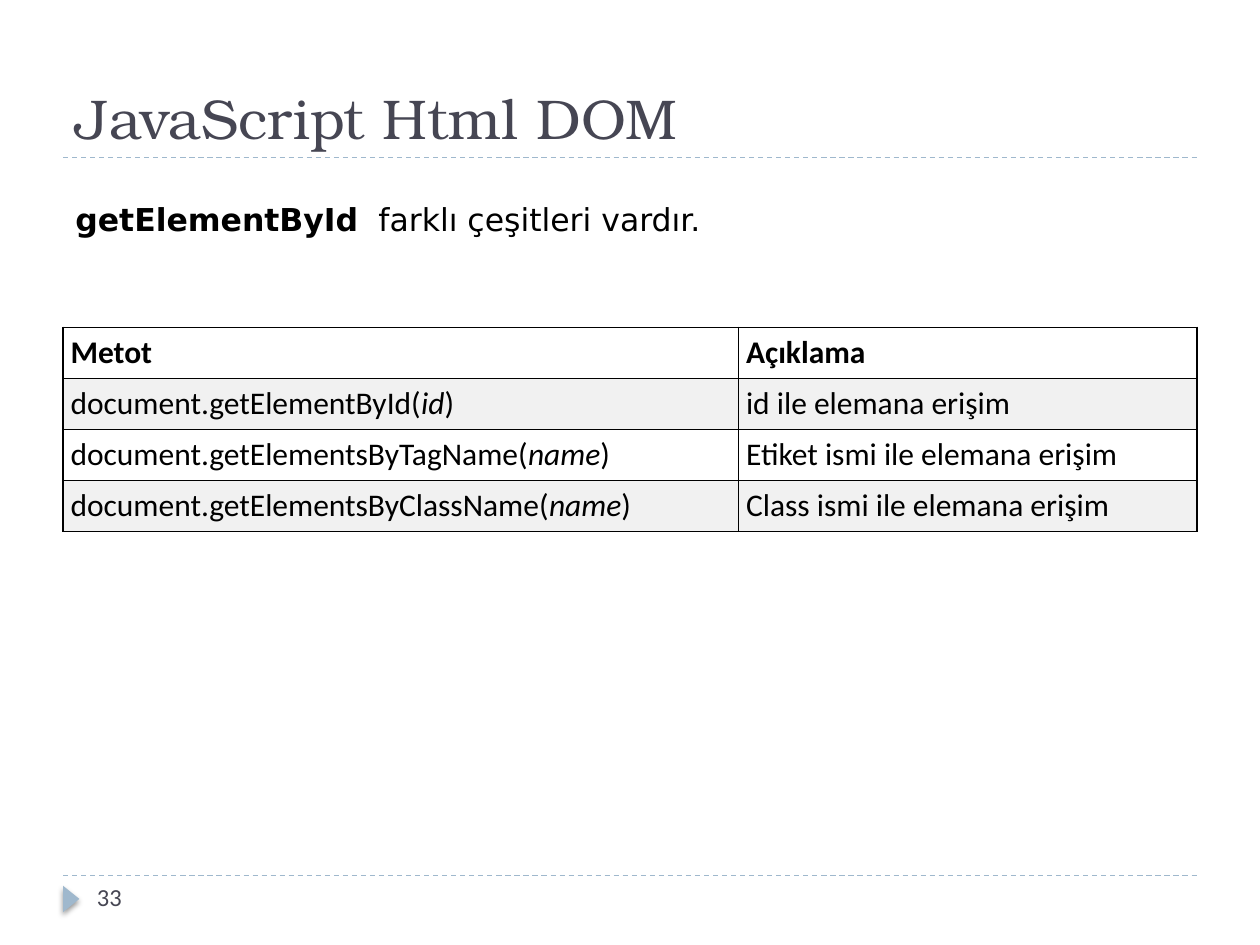
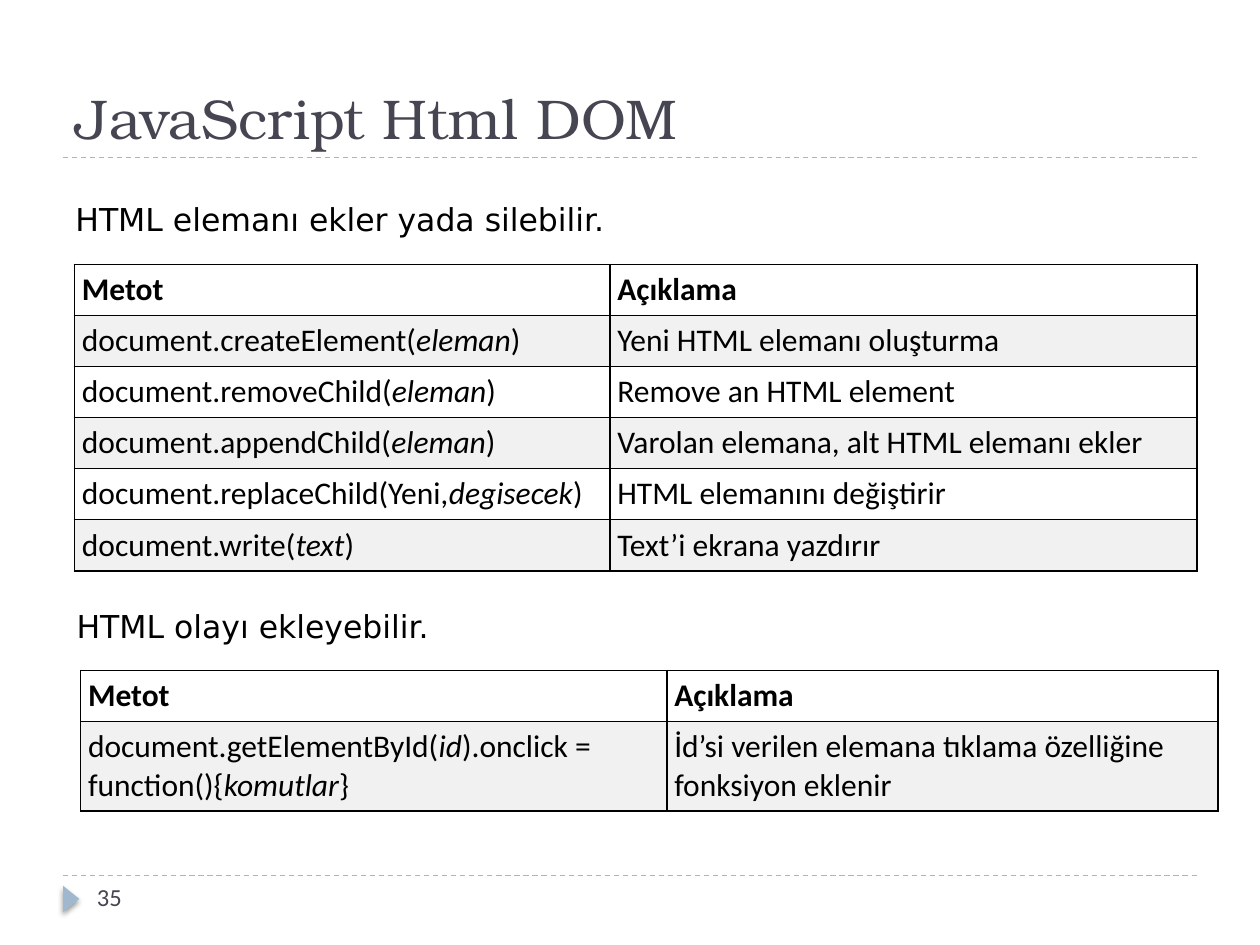
from lxml import etree
from pptx import Presentation
from pptx.dml.color import RGBColor
from pptx.enum.dml import MSO_LINE
from pptx.enum.shapes import MSO_CONNECTOR, MSO_SHAPE
from pptx.enum.text import MSO_ANCHOR, MSO_AUTO_SIZE, PP_ALIGN
from pptx.oxml import parse_xml
from pptx.oxml.ns import nsdecls, qn
from pptx.util import Pt

DASH = MSO_LINE.DASH
STRAIGHT = MSO_CONNECTOR.STRAIGHT
TRIANGLE = MSO_SHAPE.ISOSCELES_TRIANGLE
BOTTOM, TOP = MSO_ANCHOR.BOTTOM, MSO_ANCHOR.TOP
LEFT = PP_ALIGN.LEFT
NO_AUTOFIT = MSO_AUTO_SIZE.NONE
TITLE_ONLY = 5

TITLE_FONT, INTRO_FONT, TABLE_FONT = "TeX Gyre Bonum", "DejaVu Sans", "Calibri"
INK, SLATE, ACCENT, WHITE, BAND = "000000", "464653", "9FB8CD", "FFFFFF", "F1F1F1"

WIDTH, HEIGHT = 720, 540
MARGIN = 36
CONTENT_WIDTH = WIDTH - 2 * MARGIN
TITLE_RULE, FOOTER_RULE = 90, 500.4
ROW_HEIGHT = 28.8
HEADER = ("Metot", "Açıklama")


def color(value):
    return RGBColor.from_string(value)


def write(frame, text, font=TABLE_FONT, size=18, fill=INK, bold=False,
          marked="italic", anchor=TOP, inset=7.2):
    """Fill a text frame; parts between asterisks get the marked format."""
    frame.word_wrap = True
    frame.auto_size = NO_AUTOFIT
    frame.vertical_anchor = anchor
    frame.margin_left = frame.margin_right = Pt(inset)
    frame.margin_top = frame.margin_bottom = Pt(3.6)
    paragraph = frame.paragraphs[0]
    paragraph.alignment = LEFT
    for index, part in enumerate(text.split("*")):
        if not part:
            continue
        run = paragraph.add_run()
        run.text = part
        run.font.name, run.font.size, run.font.bold = font, Pt(size), bold
        run.font.color.rgb = color(fill)
        if index % 2:
            setattr(run.font, marked, True)


def add_label(slide, text, left, top, width, height, **style):
    label = slide.shapes.add_textbox(Pt(left), Pt(top), Pt(width), Pt(height))
    write(label.text_frame, text, **style)


def add_rule(slide, top):
    rule = slide.shapes.add_connector(
        STRAIGHT, Pt(MARGIN), Pt(top), Pt(WIDTH - MARGIN), Pt(top))
    rule.line.color.rgb = color(ACCENT)
    rule.line.width = Pt(0.75)
    rule.line.dash_style = DASH
    etree.SubElement(rule.element.spPr, qn("a:effectLst"))


def add_title(slide, text):
    title = slide.shapes.title
    title.left, title.top = Pt(MARGIN), Pt(12.24)
    title.width, title.height = Pt(CONTENT_WIDTH), Pt(TITLE_RULE - 12.24)
    write(title.text_frame, text, font=TITLE_FONT, size=32, fill=SLATE, anchor=BOTTOM)
    add_rule(slide, TITLE_RULE)


def add_footer(slide, number):
    add_rule(slide, FOOTER_RULE)
    # Page marker with a soft drop shadow
    marker = slide.shapes.add_shape(
        TRIANGLE, Pt(33.12), Pt(FOOTER_RULE + 8.6), Pt(15.12), Pt(9.36))
    marker.rotation = 90
    marker.fill.solid()
    marker.fill.fore_color.rgb = color(ACCENT)
    marker.line.fill.background()
    marker.element.spPr.append(parse_xml(
        f'<a:effectLst {nsdecls("a")}><a:outerShdw blurRad="{Pt(3)}" dist="{Pt(2)}" '
        'dir="5400000" algn="tl" rotWithShape="0"><a:srgbClr val="000000">'
        '<a:alpha val="40000"/></a:srgbClr></a:outerShdw></a:effectLst>'))
    add_label(slide, number, 48.24, FOOTER_RULE, 156, 28.8, size=14, fill=SLATE)


def add_intro(slide, text, top, left=MARGIN):
    add_label(slide, text, left, top, CONTENT_WIDTH, 28.8,
              font=INTRO_FONT, marked="bold")


def set_borders(cell):
    properties = cell._tc.get_or_add_tcPr()
    for position, side in enumerate(("lnL", "lnR", "lnT", "lnB")):
        properties.insert(position, parse_xml(
            f'<a:{side} {nsdecls("a")} w="{Pt(1)}"><a:solidFill>'
            f'<a:srgbClr val="{INK}"/></a:solidFill></a:{side}>'))


def add_methods(slide, methods, left, top, widths, body_height=ROW_HEIGHT):
    rows = [HEADER, *methods]
    height = ROW_HEIGHT + body_height * len(methods)
    table = slide.shapes.add_table(
        len(rows), len(widths), Pt(left), Pt(top), Pt(sum(widths)), Pt(height)).table
    table.first_row = table.horz_banding = False
    for column, width in zip(table.columns, widths):
        column.width = Pt(width)
    for r, texts in enumerate(rows):
        table.rows[r].height = Pt(body_height if r else ROW_HEIGHT)
        for c, text in enumerate(texts):
            cell = table.cell(r, c)
            cell.fill.solid()
            cell.fill.fore_color.rgb = color(BAND if r % 2 else WHITE)
            set_borders(cell)
            write_cell(cell, text, bold=r == 0)


def write_cell(cell, text, bold):
    write(cell.text_frame, text, bold=bold)
    cell.margin_left = cell.margin_right = Pt(4.32)
    cell.margin_top = cell.margin_bottom = Pt(3.6)


def add_dom_slide(deck, number):
    slide = deck.slides.add_slide(deck.slide_layouts[TITLE_ONLY])
    add_title(slide, "JavaScript Html DOM")
    add_footer(slide, number)
    return slide


def build_access_slide(deck):
    slide = add_dom_slide(deck, "33")
    add_intro(slide, "*getElementById*  farklı çeşitleri vardır.", 110.88)
    add_methods(slide, [
        ("document.getElementById(*id*)", "id ile elemana erişim"),
        ("document.getElementsByTagName(*name*)", "Etiket ismi ile elemana erişim"),
        ("document.getElementsByClassName(*name*)", "Class ismi ile elemana erişim"),
    ], MARGIN, 187, (386, 262))


def build_editing_slide(deck):
    slide = add_dom_slide(deck, "35")
    # Adding and removing elements
    add_intro(slide, "HTML elemanı ekler yada silebilir.", 110.88)
    add_methods(slide, [
        ("document.createElement(*eleman*)", "Yeni HTML elemanı oluşturma"),
        ("document.removeChild(*eleman*)", "Remove an HTML element"),
        ("document.appendChild(*eleman*)", "Varolan elemana, alt HTML elemanı ekler"),
        ("document.replaceChild(Yeni*,degisecek*)", "HTML elemanını değiştirir"),
        ("document.write(*text*)", "Text’i ekrana yazdırır"),
    ], 42.5, 151, (306, 335.5))
    # Adding events
    add_methods(slide, [
        ("document.getElementById(*id*).onclick = function(){*komutlar*}",
         "İd’si verilen elemana tıklama özelliğine fonksiyon eklenir"),
    ], 46, 383.2, (335, 315), body_height=50.4)
    add_intro(slide, "HTML olayı ekleyebilir.", 343.44, left=36.7)


def main():
    deck = Presentation()
    deck.slide_width, deck.slide_height = Pt(WIDTH), Pt(HEIGHT)
    build_access_slide(deck)
    build_editing_slide(deck)
    deck.save("out.pptx")


if __name__ == "__main__":
    main()
